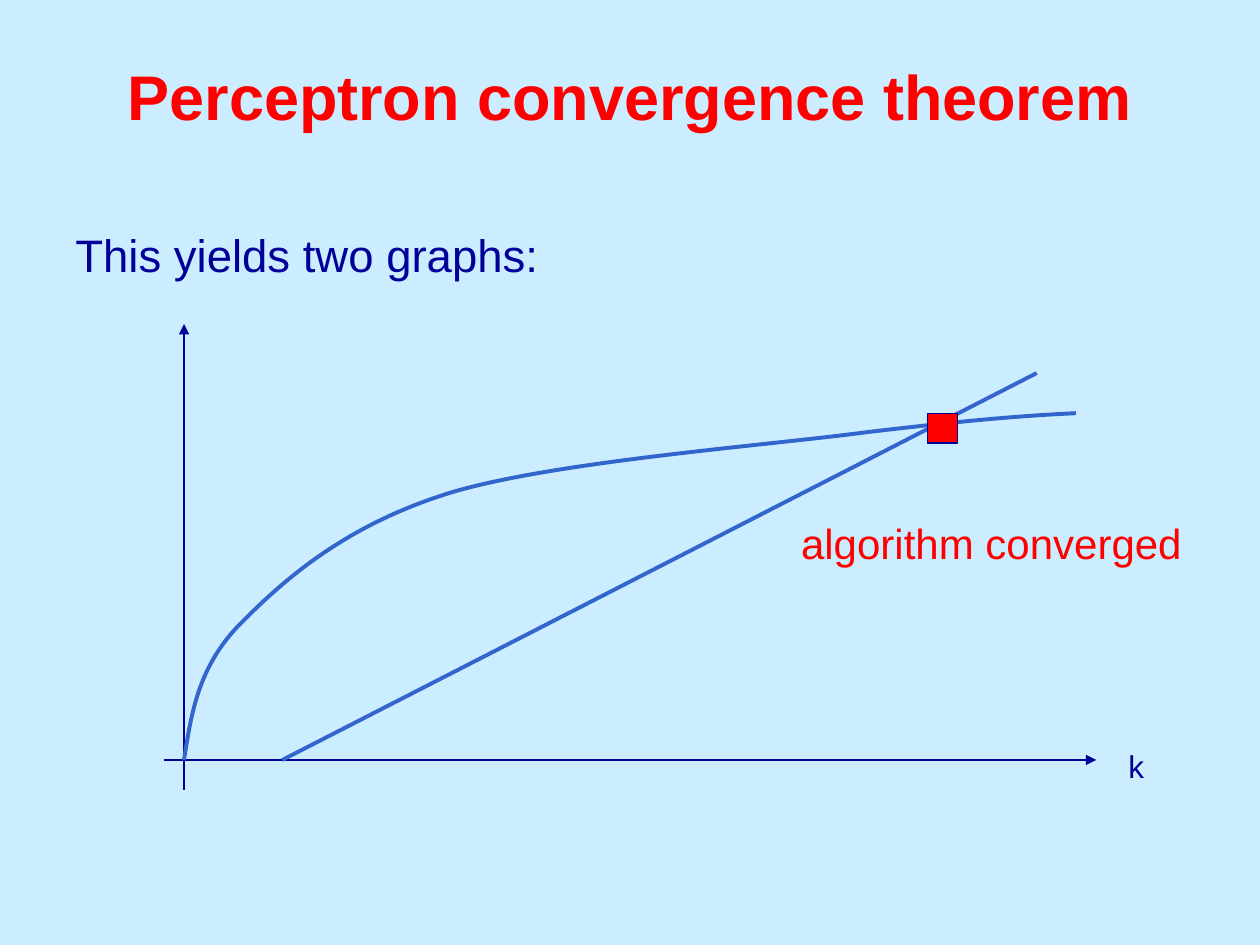
from lxml import etree
from pptx import Presentation
from pptx import util as u
from pptx.dml.color import RGBColor
from pptx.enum import shapes, text
from pptx.oxml import ns

SKY = RGBColor(0xCC, 0xEC, 0xFF)
RED = RGBColor(0xFF, 0x00, 0x00)
NAVY = RGBColor(0x00, 0x00, 0x99)
BLUE = RGBColor(0x33, 0x66, 0xCC)

AXIS_X, AXIS_Y = 3.71, 15.32  # origin of the graph in cm


def cm(*lengths):
    return [u.Cm(length) for length in lengths]


class SlideBuilder:
    font = "Arial"

    def __init__(self, slide):
        self.slide = slide
        slide.background.fill.solid()
        slide.background.fill.fore_color.rgb = SKY

    def outline(self, shape, color, width):
        shape.line.color.rgb = color
        shape.line.width = u.Pt(width)

    def text(self, box, words, size, color, bold=False, before=0, hanging=0,
             **frame_format):
        frame = self.slide.shapes.add_textbox(*cm(*box)).text_frame
        frame_format = {"word_wrap": True, **frame_format}
        paragraph = frame.paragraphs[0]
        align = frame_format.pop("alignment", text.PP_ALIGN.LEFT)
        paragraph_format = {"alignment": align, "space_before": u.Pt(before)}
        run = paragraph.add_run()
        run.text = words
        font_format = {"name": self.font, "size": u.Pt(size), "bold": bold}
        for target, values in ((frame, frame_format),
                               (paragraph, paragraph_format),
                               (run.font, font_format)):
            for key, value in values.items():
                setattr(target, key, value)
        run.font.color.rgb = color
        if hanging:
            properties = paragraph._p.get_or_add_pPr()
            properties.set("marL", str(u.Cm(hanging)))
            properties.set("indent", str(-u.Cm(hanging)))

    def line(self, start, end, color, width, arrow=False):
        line = self.slide.shapes.add_connector(
            shapes.MSO_CONNECTOR.STRAIGHT, *cm(*start, *end))
        self.outline(line, color, width)
        if arrow:
            etree.SubElement(line.line._get_or_add_ln(), ns.qn("a:tailEnd"),
                             type="triangle")
        etree.SubElement(line._element.spPr, ns.qn("a:effectLst"))

    def curve(self, start, segments, color, width):
        """Draw cubic segments, each given as (control, control, end)."""
        builder = self.slide.shapes.build_freeform(*cm(*start))
        builder.add_line_segments([cm(*segment[-1]) for segment in segments],
                                  close=False)
        curve = builder.convert_to_shape()
        for step, segment in zip(list(curve._element.iter(ns.qn("a:lnTo"))), segments):
            step.tag = ns.qn("a:cubicBezTo")
            for position, control in enumerate(segment[:-1]):
                x, y = cm(*control)
                step.insert(position, etree.Element(
                    ns.qn("a:pt"), x=str(x - curve.left), y=str(y - curve.top)))
        curve.fill.background()
        self.outline(curve, color, width)
        curve.shadow.inherit = False

    def rectangle(self, box, fill, color, width):
        rectangle = self.slide.shapes.add_shape(shapes.MSO_SHAPE.RECTANGLE, *cm(*box))
        rectangle.fill.solid()
        rectangle.fill.fore_color.rgb = fill
        self.outline(rectangle, color, width)
        rectangle.shadow.inherit = False


def main():
    deck = Presentation()
    deck.slide_width, deck.slide_height = cm(25.4, 19.05)
    page = SlideBuilder(deck.slides.add_slide(deck.slide_layouts[6]))

    # Title and introduction
    page.text((1.27, 0.33, 22.86, 3.18), "Perceptron convergence theorem", 36, RED,
              bold=True, alignment=text.PP_ALIGN.CENTER,
              vertical_anchor=text.MSO_ANCHOR.MIDDLE)
    page.text((1.27, 4.45, 22.86, 12.57), "This yields two graphs:", 26, NAVY,
              before=6.5, hanging=0.97)

    # Axes
    grow = {"auto_size": text.MSO_AUTO_SIZE.SHAPE_TO_FIT_TEXT}
    page.line((3.3, AXIS_Y), (22.1, AXIS_Y), NAVY, 0.75, arrow=True)
    page.text((22.5, 14.94, 1.8, 1.02), "k", 18, NAVY, before=11.2, **grow)
    page.line((AXIS_X, 15.93), (AXIS_X, 6.53), NAVY, 0.75, arrow=True)

    # Linear bound and root-shaped bound
    page.line((5.69, AXIS_Y), (20.9, 7.52), BLUE, 2.25)
    page.curve((AXIS_X, AXIS_Y), [
        ((3.86, 14.38), (3.99, 13.41), (4.9, 12.52)),
        ((5.79, 11.63), (7.01, 10.57), (9.09, 9.93)),
        ((11.2, 9.3), (15.39, 8.99), (17.5, 8.71)),
        ((19.61, 8.46), (20.65, 8.38), (21.69, 8.33)),
    ], BLUE, 2.25)

    # Point of convergence
    page.rectangle((18.7, 8.33, 0.6, 0.6), RED, NAVY, 0.75)
    page.text((15.9, 10.31, 8.71, 1.27), "algorithm converged", 24, RED,
              before=15, **grow)

    deck.save("out.pptx")


if __name__ == "__main__":
    main()
